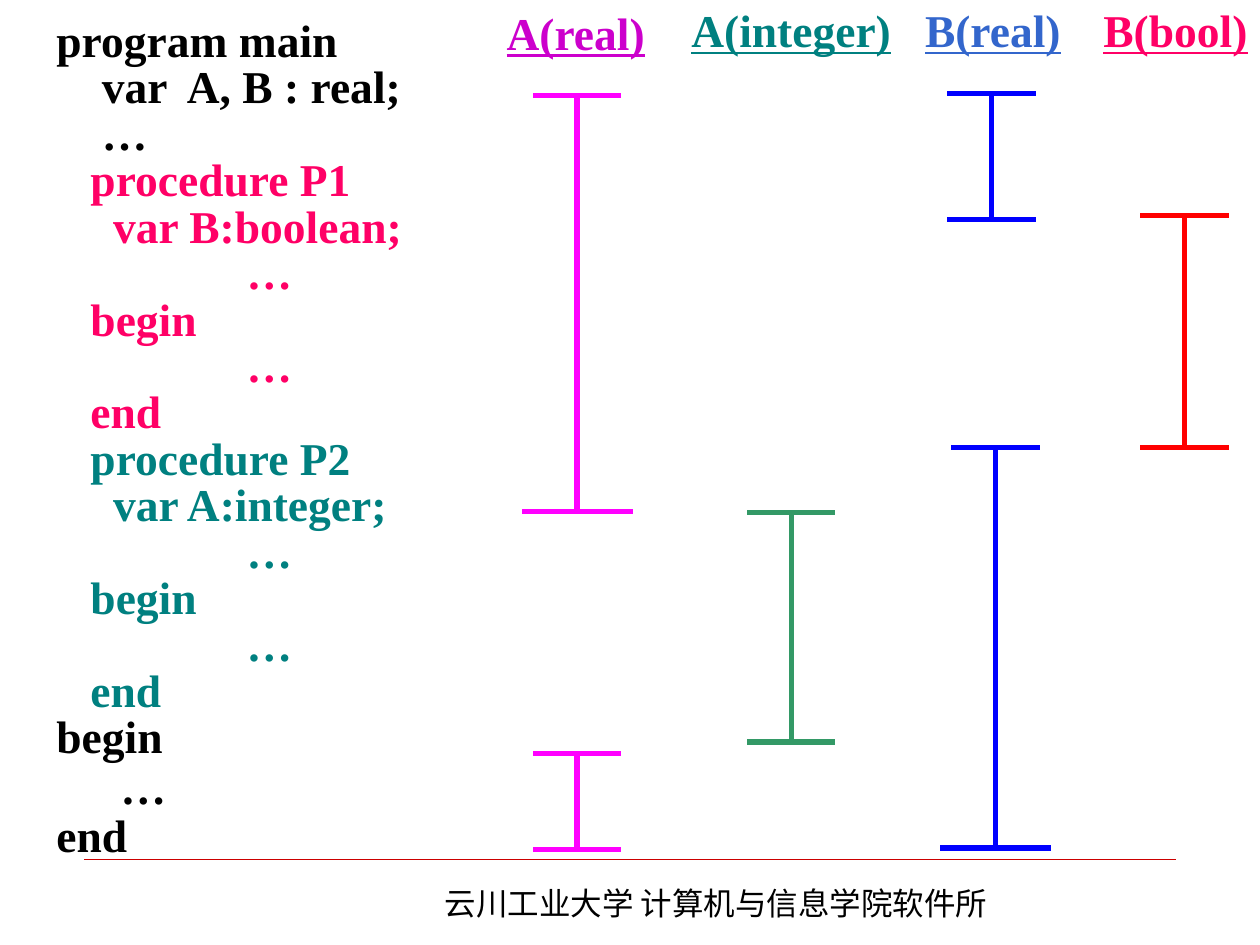
import pptx
import pptx.dml.color
import pptx.enum.shapes
import pptx.enum.text
import pptx.oxml
import pptx.oxml.ns
import pptx.util
from pptx.util import Inches

BLACK, PINK, TEAL = "000000", "FF0066", "008080"
MAGENTA, BLUE, RED, GREEN = "FF00FF", "0000FF", "FF0000", "339966"


def color(hex_string):
    return pptx.dml.color.RGBColor.from_string(hex_string)


def write(paragraph, text, fill=BLACK, size=26, font="Times New Roman",
          bold=True, underline=False, indent=0, line_spacing=None, before=0,
          align=pptx.enum.text.PP_ALIGN.LEFT):
    paragraph.alignment = align
    paragraph.space_before = pptx.util.Pt(before)
    if line_spacing:
        paragraph.line_spacing = line_spacing
    properties = paragraph._p.get_or_add_pPr()
    properties.set("marL", str(Inches(indent)))
    properties.set("indent", "0")
    run = paragraph.add_run()
    run.text = text
    run.font.name = font
    run.font.size = pptx.util.Pt(size)
    run.font.bold = bold
    run.font.underline = underline
    run.font.color.rgb = color(fill)
    east_asian = pptx.oxml.parse_xml(
        f'<a:ea {pptx.oxml.ns.nsdecls("a")} typeface="{font}"/>')
    run._r.get_or_add_rPr().find(pptx.oxml.ns.qn("a:latin")).addnext(east_asian)


class ScopeSlide:
    bar_width = 3
    half_cap = 0.33
    wide_cap = 0.42

    def __init__(self, presentation):
        self.slide = presentation.slides.add_slide(presentation.slide_layouts[6])

    def text_box(self, left, top, width, height, wrap=True):
        shape = self.slide.shapes.add_textbox(
            Inches(left), Inches(top), Inches(width), Inches(height))
        shape.text_frame.word_wrap = wrap
        return shape.text_frame

    def heading(self, text, left, top, width, fill):
        frame = self.text_box(left, top, width, 0.54, wrap=False)
        frame.auto_size = pptx.enum.text.MSO_AUTO_SIZE.SHAPE_TO_FIT_TEXT
        frame.margin_left = frame.margin_right = Inches(0.05)
        write(frame.paragraphs[0], text, fill=fill, underline=True,
              align=pptx.enum.text.PP_ALIGN.CENTER)

    def code(self, lines, left, top, width, height):
        frame = self.text_box(left, top, width, height)
        for number, (text, indent, fill, spacing) in enumerate(lines):
            paragraph = frame.add_paragraph() if number else frame.paragraphs[0]
            write(paragraph, text, fill=fill, indent=indent,
                  line_spacing=spacing, before=1.6)

    def line(self, x1, y1, x2, y2, stroke, width, cap="flat"):
        connector = self.slide.shapes.add_connector(
            pptx.enum.shapes.MSO_CONNECTOR.STRAIGHT,
            Inches(x1), Inches(y1), Inches(x2), Inches(y2))
        connector.line.color.rgb = color(stroke)
        connector.line.width = pptx.util.Pt(width)
        properties = connector._element.spPr
        properties.find(pptx.oxml.ns.qn("a:ln")).set("cap", cap)
        properties.append(pptx.oxml.parse_xml(
            f'<a:effectLst {pptx.oxml.ns.nsdecls("a")}/>'))

    def lifetime(self, x, top, bottom, stroke, wide_bottom=False):
        end_cap = self.wide_cap if wide_bottom else self.half_cap
        for x1, y1, x2, y2 in (
                (x - self.half_cap, top, x + self.half_cap, top),
                (x, top, x, bottom),
                (x - end_cap, bottom, x + end_cap, bottom)):
            self.line(x1, y1, x2, y2, stroke, self.bar_width, cap="sq")


def procedure(name, declaration, fill):
    rows = ((f"procedure {name}", 0.27), (declaration, 0.45), ("…", 1.51),
            ("begin", 0.27), ("…", 1.51), ("end", 0.27))
    return [(text, indent, fill, 0.8) for text, indent in rows]


def main():
    presentation = pptx.Presentation()
    presentation.slide_width = Inches(10)
    presentation.slide_height = Inches(7.5)
    scope = ScopeSlide(presentation)

    # Footer
    scope.line(0.67, 6.82, 9.33, 6.82, "CC0000", 0.25)
    footer = scope.text_box(3.43, 6.97, 4.88, 0.4)
    write(footer.paragraphs[0], "云川工业大学 计算机与信息学院软件所",
          size=18, font="Noto Sans CJK SC", bold=False)

    # Program listing
    scope.code([
        ("program main", 0, BLACK, 0.8),
        ("var  A, B : real;", 0.36, BLACK, 0.8),
        ("…", 0.36, BLACK, 0.8),
        *procedure("P1", "var B:boolean;", PINK),
        *procedure("P2", "var A:integer;", TEAL),
        ("begin", 0, BLACK, 0.8),
        ("…", 0.51, BLACK, 0.9),
        ("end", 0, BLACK, 0.8),
    ], 0.35, 0.13, 3.83, 6.85)

    # Variable headings
    scope.heading("A(real)", 3.92, -0.01, 1.3, "CC00CC")
    scope.heading("A(integer)", 5.39, -0.03, 1.78, TEAL)
    scope.heading("B(real)", 7.24, -0.03, 1.28, "3366CC")
    scope.heading("B(bool)", 8.66, -0.03, 1.34, PINK)

    # Lifetimes of each variable
    scope.lifetime(4.58, 0.76, 4.06, MAGENTA, wide_bottom=True)
    scope.lifetime(4.58, 5.98, 6.74, MAGENTA)
    scope.lifetime(6.28, 4.07, 5.89, GREEN)
    scope.lifetime(7.87, 0.74, 1.74, BLUE)
    scope.lifetime(7.9, 3.55, 6.73, BLUE, wide_bottom=True)
    scope.lifetime(9.4, 1.71, 3.55, RED)

    presentation.save("out.pptx")


if __name__ == "__main__":
    main()
